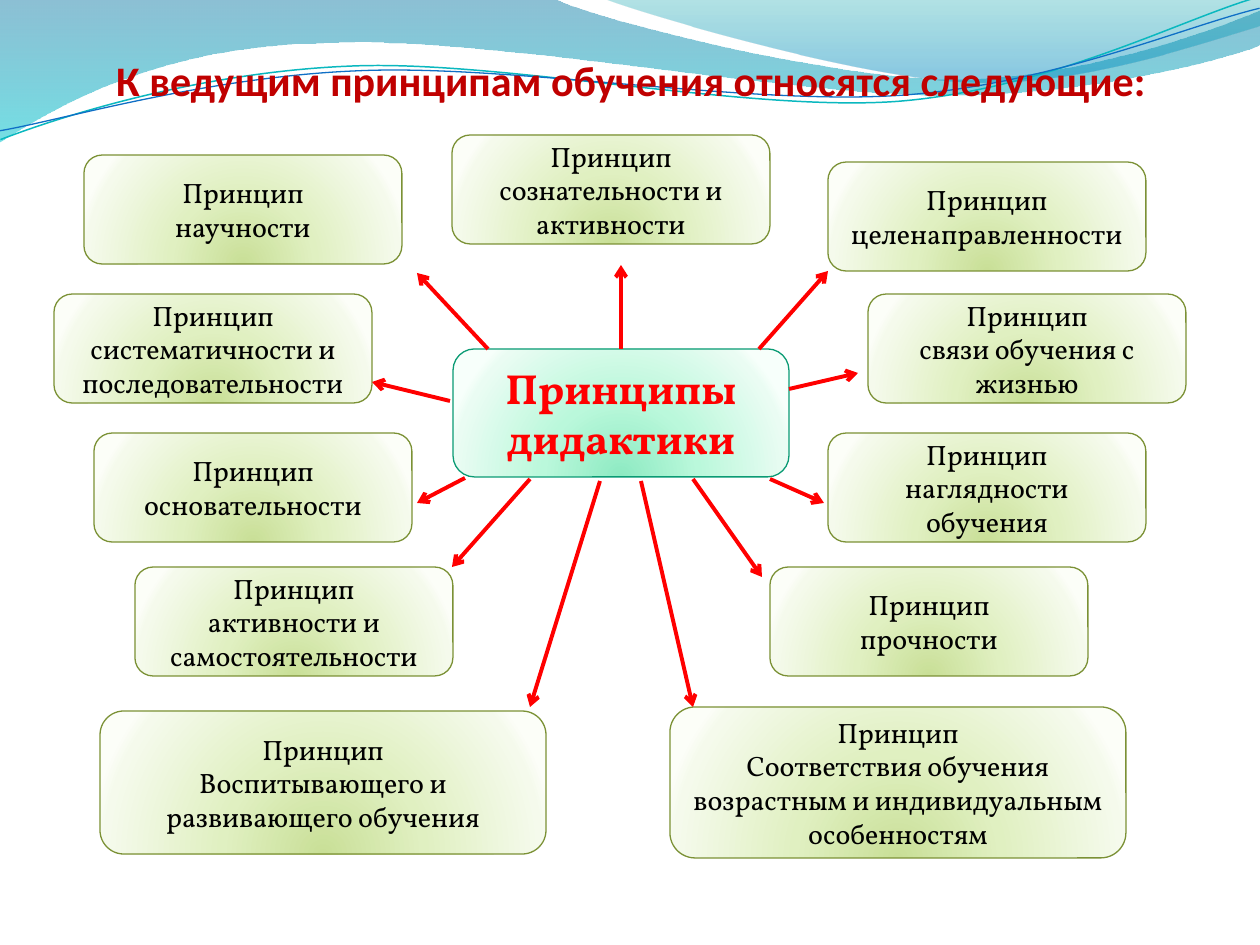
from dataclasses import dataclass

from lxml.etree import SubElement
from pptx import Presentation
from pptx.dml.color import RGBColor
from pptx.enum.shapes import MSO_CONNECTOR as Connector, MSO_SHAPE as Preset
from pptx.enum.text import MSO_ANCHOR as Anchor, MSO_AUTO_SIZE as AutoSize, PP_ALIGN as Align
from pptx.oxml import parse_xml
from pptx.oxml.ns import nsdecls, qn
from pptx.util import Emu, Pt

PX_PER_INCH = 126


def px(length: int) -> Emu:
    return Emu(round(length * 914400 / PX_PER_INCH))


@dataclass(frozen=True)
class Gradient:
    stops: tuple  # (position %, colour, opacity %)
    circular: bool = False


@dataclass(frozen=True)
class Theme:
    title_font: str = "Calibri"
    body_font: str = "Vollkorn"
    heading_size: int = 24
    box_size: int = 16
    title_color: str = "C00000"
    accent: str = "FF0000"
    text: str = "000000"
    box_line: str = "7B9135"
    center_line: str = "0A9B74"
    box_fill: Gradient = Gradient(
        ((0, "C9DF97", 100), (43, "E0F0C1", 100), (93, "F5FAEC", 100), (100, "FCFEF8", 100)), True)
    center_fill: Gradient = Gradient(
        ((0, "8DEAC2", 100), (43, "BAF8DB", 100), (93, "EAFCF3", 100), (100, "F7FFFB", 100)), True)


THEME = Theme()


@dataclass(frozen=True)
class Wave:
    start: tuple
    segments: tuple  # 2 numbers: line, 6 numbers: cubic curve
    fill: Gradient | None = None
    line: str = ""
    width: float = 0
    rotation: float = 0


@dataclass(frozen=True)
class Box:
    left: int
    top: int
    principle: str
    width: int = 318
    height: int = 109


WAVES = (
    Wave((0, 0), ((554, -1), (600, 21, 837, 79, 955, 79), (1075, 79, 1207, 33, 1260, 11),
                  (1261, 45), (1239, 55, 1096, 96, 940, 95), (784, 95, 481, 35, 324, 43),
                  (163, 45, 58, 105, -1, 142)),
         fill=Gradient(((0, "0074A1", 45), (100, "00C6CF", 55)))),
    Wave((604, -1), ((641, 14, 859, 78, 969, 82), (1079, 87, 1211, 40, 1260, 26), (1260, 0)),
         fill=Gradient(((0, "00A1A9", 30), (80, "008BBF", 45)))),
    Wave((-2, 110), ((58, 90, 199, 52, 350, 53), (499, 53, 745, 118, 896, 114),
                     (1049, 109, 1184, 45, 1260, 27)), line="0AB8BF", width=0.85, rotation=357.3),
    Wave((-2, 101), ((57, 94, 207, 57, 357, 58), (509, 58, 749, 112, 902, 108),
                     (1052, 104, 1188, 52, 1262, 38)), line="0F6FC6", width=0.75, rotation=357.3),
)
CENTER = Box(453, 349, "Принципы дидактики", 336, 128)
FIRST_BOX = Box(84, 155, "научности")
BOXES = (
    Box(452, 135, "сознательности и активности"),
    Box(770, 567, "прочности"),
    Box(54, 294, "систематичности и последовательности"),
    Box(100, 711, "Воспитывающего и развивающего обучения", 446, 143),
    Box(670, 707, "Соответствия обучения возрастным и индивидуальным особенностям", 456, 151),
    Box(94, 433, "основательности"),
    Box(135, 567, "активности и самостоятельности"),
    Box(828, 433, "наглядности обучения"),
    Box(868, 294, "связи обучения с жизнью"),
    Box(828, 162, "целенаправленности"),
)
ARROWS = (
    (621, 349, 621, 265), (759, 349, 828, 271), (488, 349, 417, 273), (789, 389, 858, 373),
    (770, 479, 824, 503), (693, 479, 762, 577), (641, 481, 693, 707), (600, 481, 530, 707),
    (530, 479, 452, 567), (465, 478, 417, 503), (450, 401, 372, 382),
)


def set_gradient(shape, gradient: Gradient) -> None:
    stops = "".join(
        f'<a:gs pos="{position * 1000}"><a:srgbClr val="{color}">'
        f'<a:alpha val="{opacity * 1000}"/></a:srgbClr></a:gs>'
        for position, color, opacity in gradient.stops)
    direction = (
        '<a:path path="circle"><a:fillToRect l="50000" t="130000" r="50000" b="-30000"/></a:path>'
        if gradient.circular else '<a:lin ang="5400000" scaled="0"/>')
    shape.fill.background()
    properties = shape.element.spPr
    properties.replace(properties.find(qn("a:noFill")), parse_xml(
        f'<a:gradFill {nsdecls("a")} rotWithShape="1"><a:gsLst>{stops}</a:gsLst>{direction}</a:gradFill>'))


def set_line(line, color: str, width: float) -> None:
    line.color.rgb = RGBColor.from_string(color)
    line.width = Pt(width)


def place(shape, left: int, top: int, width: int, height: int) -> None:
    shape.left, shape.top, shape.width, shape.height = map(px, (left, top, width, height))


def write(shape, lines: tuple, font: str, size: int, color: str, bold: bool, anchor) -> None:
    frame = shape.text_frame
    frame.word_wrap = True
    frame.auto_size = AutoSize.NONE
    frame.vertical_anchor = anchor
    for index, line in enumerate(lines):
        paragraph = frame.add_paragraph() if index else frame.paragraphs[0]
        paragraph.alignment = Align.CENTER
        paragraph.space_before = Pt(0)
        if shape.is_placeholder:
            properties = paragraph._p.get_or_add_pPr()
            properties.set("marL", "0")
            properties.set("indent", "0")
            SubElement(properties, qn("a:buNone"))
        run = paragraph.add_run()
        run.text = line
        run.font.name, run.font.size, run.font.bold = font, Pt(size), bold
        run.font.color.rgb = RGBColor.from_string(color)


def draw_wave(slide, wave: Wave):
    points = [pair for segment in wave.segments for pair in zip(segment[::2], segment[1::2])]
    builder = slide.shapes.build_freeform(*map(px, wave.start))
    builder.add_line_segments([(px(x), px(y)) for x, y in points], close=wave.fill is not None)
    shape = builder.convert_to_shape()
    shape.shadow.inherit = False
    shape.rotation = wave.rotation

    # Each run of three vertices becomes one cubic curve
    vertices = iter(list(shape.element.iter(qn("a:lnTo"))))
    for segment in wave.segments:
        first = next(vertices)
        if len(segment) == 6:
            first.tag = qn("a:cubicBezTo")
            for _ in range(2):
                vertex = next(vertices)
                first.append(vertex[0])
                vertex.getparent().remove(vertex)

    if wave.fill:
        set_gradient(shape, wave.fill)
        shape.line.fill.background()
    else:
        shape.fill.background()
        set_line(shape.line, wave.line, wave.width)
    return shape


def style_box(shape, fill: Gradient, line: str) -> None:
    set_gradient(shape, fill)
    set_line(shape.line, line, 0.75)


def add_round_box(slide, box: Box):
    shape = slide.shapes.add_shape(
        Preset.ROUNDED_RECTANGLE, *map(px, (box.left, box.top, box.width, box.height)))
    shape.shadow.inherit = False
    return shape


def fill_principle(shape, box: Box) -> None:
    style_box(shape, THEME.box_fill, THEME.box_line)
    write(shape, ("Принцип", box.principle), THEME.body_font, THEME.box_size, THEME.text,
          False, Anchor.MIDDLE)


def draw_arrow(slide, ends: tuple) -> None:
    arrow = slide.shapes.add_connector(Connector.STRAIGHT, *map(px, ends))
    set_line(arrow.line, THEME.accent, 2.25)
    properties = arrow.element.spPr
    SubElement(properties.find(qn("a:ln")), qn("a:tailEnd"), type="arrow")
    SubElement(properties, qn("a:effectLst"))


def main() -> None:
    presentation = Presentation()
    presentation.slide_width, presentation.slide_height = px(1260), px(945)
    slide = presentation.slides.add_slide(presentation.slide_layouts[1])
    title, body = slide.shapes.title, slide.placeholders[1]

    # Waves belong to the slide master, behind its placeholders
    master_tree = presentation.slide_master.shapes.element
    for index, wave in enumerate(WAVES):
        shape = draw_wave(slide, wave)
        shape.element.nvSpPr.cNvPr.set("id", str(100 + index))
        master_tree.insert(2 + index, shape.element)

    # Title
    place(title, 64, 35, 1134, 70)
    frame = title.text_frame
    frame.margin_left = frame.margin_right = frame.margin_bottom = 0
    write(title, ("К ведущим принципам обучения относятся следующие:",), THEME.title_font,
          THEME.heading_size, THEME.title_color, True, Anchor.BOTTOM)

    # Central box
    center = add_round_box(slide, CENTER)
    style_box(center, THEME.center_fill, THEME.center_line)
    write(center, (CENTER.principle,), THEME.body_font, THEME.heading_size, THEME.accent,
          True, Anchor.MIDDLE)

    # Principles, the first one in the body placeholder
    place(body, FIRST_BOX.left, FIRST_BOX.top, FIRST_BOX.width, FIRST_BOX.height)
    body.element.spPr.append(parse_xml(
        f'<a:prstGeom {nsdecls("a")} prst="roundRect"><a:avLst/></a:prstGeom>'))
    fill_principle(body, FIRST_BOX)
    for box in BOXES:
        fill_principle(add_round_box(slide, box), box)

    # Arrows from the centre to the principles
    for ends in ARROWS:
        draw_arrow(slide, ends)
    presentation.save("out.pptx")


if __name__ == "__main__":
    main()
